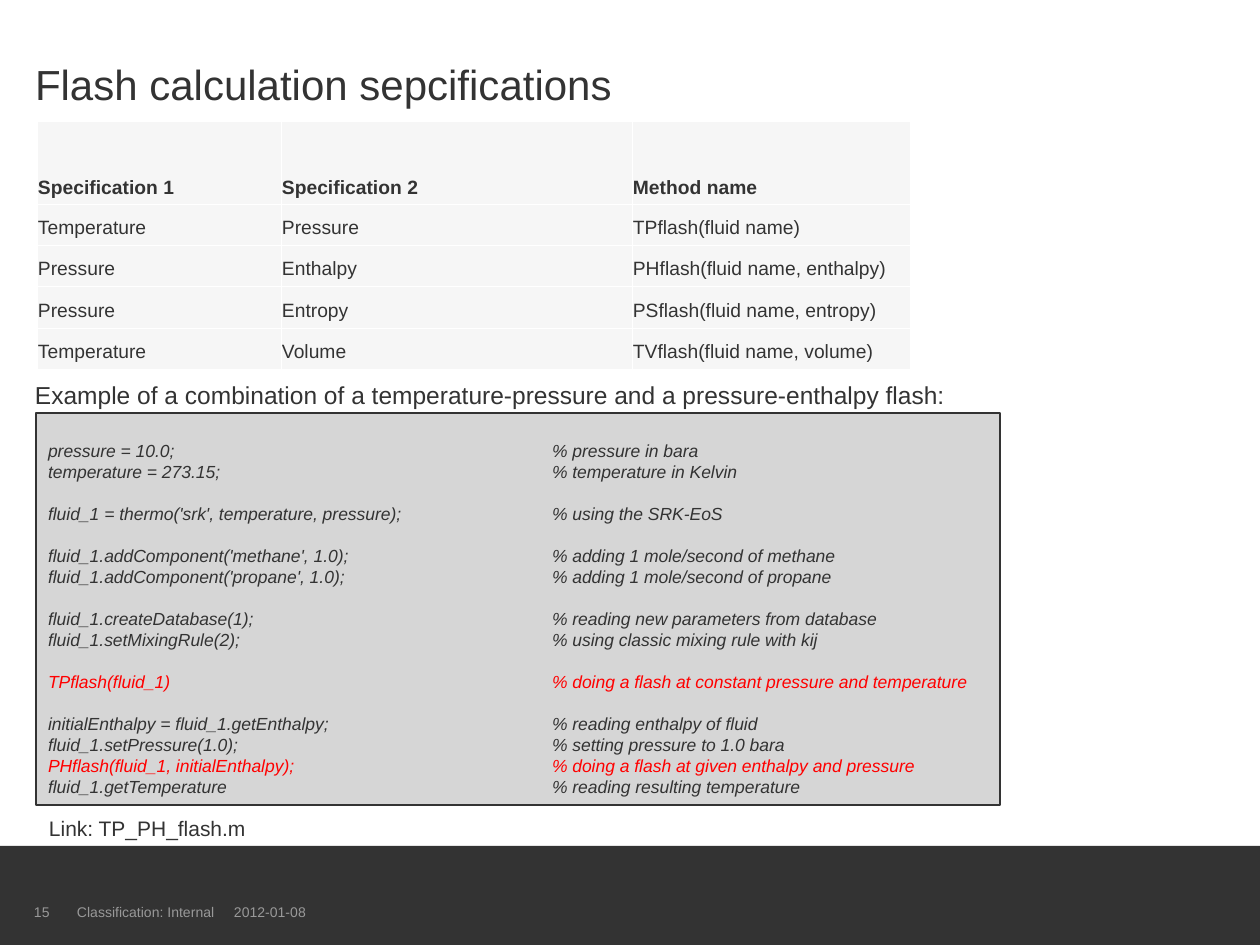
from lxml import etree
from pptx import Presentation
from pptx.dml.color import RGBColor
from pptx.enum.shapes import MSO_SHAPE
from pptx.enum.text import MSO_ANCHOR, PP_ALIGN
from pptx.oxml.ns import qn
from pptx.util import Pt

PX = 7257  # EMU in one px, 126 px to the inch
RECTANGLE = MSO_SHAPE.RECTANGLE
TOP, BOTTOM = MSO_ANCHOR.TOP, MSO_ANCHOR.BOTTOM
LEFT = PP_ALIGN.LEFT
FONT = "Arial"
COLOURS = {
    "ink": "333333", "muted": "999999", "red": "FF0000",
    "white": "FFFFFF", "cell": "F6F6F6", "code": "D6D6D6",
}

TITLE = "Flash calculation sepcifications"
EXAMPLE = "Example of a combination of a temperature-pressure and a pressure-enthalpy flash:"
LINK = "Link: TP_PH_flash.m"
PAGE_NUMBER = "15"
FOOTER = "Classification: Internal\t2012-01-08"

SPECIFICATIONS = [
    ("Specification 1", "Specification 2", "Method name"),
    ("Temperature", "Pressure", "TPflash(fluid name)"),
    ("Pressure", "Enthalpy", "PHflash(fluid name, enthalpy)"),
    ("Pressure", "Entropy", "PSflash(fluid name, entropy)"),
    ("Temperature", "Volume", "TVflash(fluid name, volume)"),
]
COLUMN_WIDTHS = (244, 351, 278)
ROW_HEIGHTS = (83, 41, 41, 42, 41)

# Groups of (statement, comment); one empty line's height parts the groups.
CODE_GROUPS = [
    [("pressure = 10.0;", "% pressure in bara"),
     ("temperature = 273.15;", "% temperature in Kelvin")],
    [("fluid_1 = thermo('srk', temperature, pressure);", "% using the SRK-EoS")],
    [("fluid_1.addComponent('methane', 1.0);", "% adding 1 mole/second of methane"),
     ("fluid_1.addComponent('propane', 1.0);", "% adding 1 mole/second of propane")],
    [("fluid_1.createDatabase(1);", "% reading new parameters from database"),
     ("fluid_1.setMixingRule(2);", "% using classic mixing rule with kij")],
    [("TPflash(fluid_1)", "% doing a flash at constant pressure and temperature")],
    [("initialEnthalpy = fluid_1.getEnthalpy;", "% reading enthalpy of fluid"),
     ("fluid_1.setPressure(1.0);", "% setting pressure to 1.0 bara"),
     ("PHflash(fluid_1, initialEnthalpy);", "% doing a flash at given enthalpy and pressure"),
     ("fluid_1.getTemperature", "% reading resulting temperature")],
]
FLASH_CALLS = ("TPflash", "PHflash")
CODE_SIZE, CODE_LINE = 10, 12
COMMENT_TAB, DATE_TAB = 504, 157


def colour(name):
    return RGBColor.from_string(COLOURS[name])


def px(*lengths):
    return [length * PX for length in lengths]


def set_frame(frame, margins, anchor=TOP):
    """Set wrapping, anchor and the left, top, right and bottom margins."""
    frame.word_wrap = True
    frame.vertical_anchor = anchor
    (frame.margin_left, frame.margin_top,
     frame.margin_right, frame.margin_bottom) = px(*margins)


def write(para, text, size, ink="ink", bold=False, italic=False, tab=None):
    para.alignment = LEFT
    if tab:
        tabs = etree.SubElement(para._p.get_or_add_pPr(), qn("a:tabLst"))
        etree.SubElement(tabs, qn("a:tab"), pos=str(tab * PX), algn="l")
    span = para.add_run()
    span.text = text
    font = span.font
    font.name, font.size = FONT, Pt(size)
    font.bold, font.italic = bold, italic
    font.color.rgb = colour(ink)


def add_label(page, place, text, size, margins=(13, 6, 13, 6), spacing=1.0, **style):
    box = page.shapes.add_textbox(*px(*place))
    set_frame(box.text_frame, margins)
    para = box.text_frame.paragraphs[0]
    para.line_spacing = spacing
    write(para, text, size, **style)


def add_panel(page, place, fill):
    panel = page.shapes.add_shape(RECTANGLE, *px(*place))
    panel.shadow.inherit = False
    panel.fill.solid()
    panel.fill.fore_color.rgb = colour(fill)
    panel.line.fill.background()
    return panel


def add_borders(cell):
    properties = cell._tc.get_or_add_tcPr()
    for side in ("a:lnL", "a:lnR", "a:lnT", "a:lnB"):
        line = etree.SubElement(properties, qn(side), w=str(Pt(0.45)))
        fill = etree.SubElement(line, qn("a:solidFill"))
        etree.SubElement(fill, qn("a:srgbClr"), val=COLOURS["white"])


def add_specifications(page):
    place = px(37, 121, sum(COLUMN_WIDTHS), sum(ROW_HEIGHTS))
    table = page.shapes.add_table(len(ROW_HEIGHTS), len(COLUMN_WIDTHS), *place).table
    table.horz_banding = False
    for column, width in zip(table.columns, COLUMN_WIDTHS):
        column.width = width * PX
    for index, (row, height) in enumerate(zip(table.rows, ROW_HEIGHTS)):
        row.height = height * PX
        for cell, text in zip(row.cells, SPECIFICATIONS[index]):
            cell.vertical_anchor = BOTTOM
            cell.margin_left, cell.margin_right = px(1, 1)
            cell.margin_top, cell.margin_bottom = px(6, 6)
            add_borders(cell)
            cell.fill.solid()
            cell.fill.fore_color.rgb = colour("cell")
            write(cell.text_frame.paragraphs[0], text, 11, bold=index == 0)


def add_code(page):
    panel = add_panel(page, (36, 413, 964, 392), "code")
    panel.line.color.rgb = colour("ink")
    panel.line.width = Pt(0.75)
    frame = panel.text_frame
    set_frame(frame, (12, 27, 12, 6))
    para = frame.paragraphs[0]
    for group_index, group in enumerate(CODE_GROUPS):
        for line_index, (statement, comment) in enumerate(group):
            if group_index or line_index:
                para = frame.add_paragraph()
            if group_index and not line_index:
                para.space_before = Pt(CODE_LINE)
            ink = "red" if statement.startswith(FLASH_CALLS) else "ink"
            write(para, f"{statement}\t{comment}", CODE_SIZE, ink,
                  italic=True, tab=COMMENT_TAB)


def main():
    deck = Presentation()
    deck.slide_width, deck.slide_height = px(1260, 945)
    page = deck.slides.add_slide(deck.slide_layouts[5])
    page.background.fill.solid()
    page.background.fill.fore_color.rgb = colour("white")

    title = page.shapes.title
    title.left, title.top, title.width, title.height = px(35, 35, 1191, 88)
    set_frame(title.text_frame, (0, 13, 13, 13), BOTTOM)
    heading = title.text_frame.paragraphs[0]
    heading.line_spacing = 0.9
    write(heading, TITLE, 24)

    add_panel(page, (0, 846, 1260, 99), "ink")
    small = {"size": 8, "margins": (0, 0, 0, 0), "spacing": 1.1, "ink": "muted"}
    add_label(page, (77, 902, 588, 25), FOOTER, tab=DATE_TAB, **small)
    add_label(page, (34, 902, 43, 25), PAGE_NUMBER, **small)

    add_specifications(page)
    add_label(page, (22, 374, 993, 43), EXAMPLE, 14)
    add_code(page)
    add_label(page, (36, 810, 483, 38), LINK, 12)
    deck.save("out.pptx")


if __name__ == "__main__":
    main()
